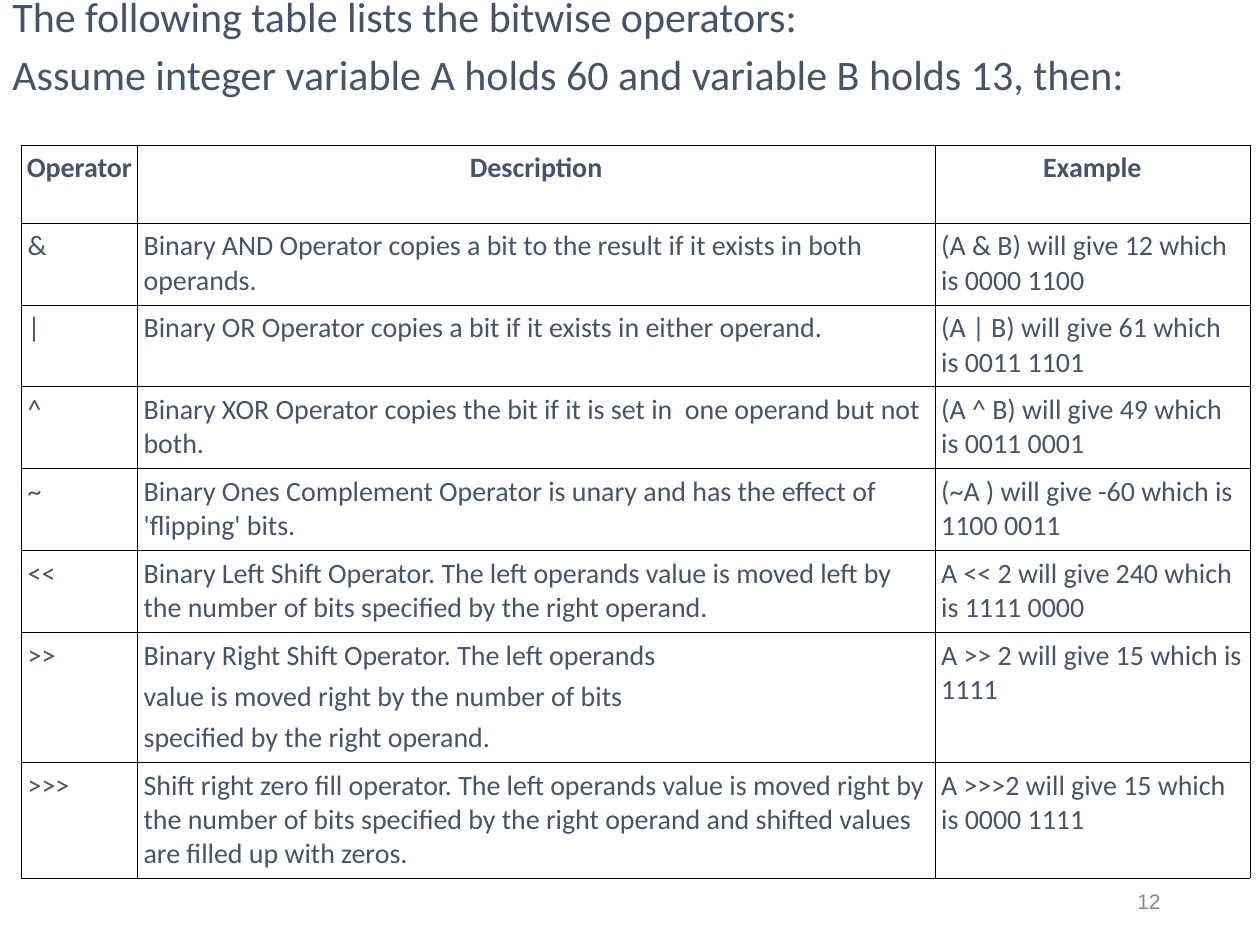
from dataclasses import dataclass

from lxml.etree import SubElement
from pptx import Presentation
from pptx.dml.color import RGBColor
from pptx.enum.text import MSO_ANCHOR as Anchor, PP_ALIGN as Align
from pptx.oxml.ns import qn
from pptx.util import Inches, Pt


@dataclass(frozen=True)
class Theme:
    text: str = "44546A"
    muted: str = "898989"
    border: str = "000000"
    body_font: str = "Calibri"
    number_font: str = "Arial"
    intro_size: float = 24
    table_size: float = 16
    number_size: float = 12
    border_width: float = 0.45


@dataclass(frozen=True)
class TextStyle:
    font: str
    size: float
    color: str
    bold: bool = False
    align: Align = Align.LEFT
    space_before: float = 0
    line_spacing: float = 1.0


@dataclass(frozen=True)
class Operator:
    symbol: str
    description: str
    example: str
    row_height: float = 0.65


THEME = Theme()
INTRO = TextStyle(THEME.body_font, THEME.intro_size, THEME.text,
                  space_before=7.5, line_spacing=0.9)
HEADER = TextStyle(THEME.body_font, THEME.table_size, THEME.text, bold=True, align=Align.CENTER)
BODY = TextStyle(THEME.body_font, THEME.table_size, THEME.text, space_before=4)
NUMBER = TextStyle(THEME.number_font, THEME.number_size, THEME.muted, align=Align.RIGHT)

INTRO_TEXT = ("The following table lists the bitwise operators:\n"
              "Assume integer variable A holds 60 and variable B holds 13, then:")
HEADINGS = Operator("Operator", "Description", "Example", 0.62)
OPERATORS = [
    Operator("&", "Binary AND Operator copies a bit to the result if it exists in both operands.",
             "(A & B) will give 12 which is 0000 1100"),
    Operator("|", "Binary OR Operator copies a bit if it exists in either operand.",
             "(A | B) will give 61 which is 0011 1101"),
    Operator("^", "Binary XOR Operator copies the bit if it is set in  one operand but not both.",
             "(A ^ B) will give 49 which is 0011 0001"),
    Operator("~", "Binary Ones Complement Operator is unary and has the effect of 'flipping' bits.",
             "(~A ) will give -60 which is 1100 0011"),
    Operator("<<", "Binary Left Shift Operator. The left operands value is moved left by "
             "the number of bits specified by the right operand.",
             "A << 2 will give 240 which is 1111 0000"),
    Operator(">>", "Binary Right Shift Operator. The left operands\n"
             "value is moved right by the number of bits\nspecified by the right operand.",
             "A >> 2 will give 15 which is 1111", 1.03),
    Operator(">>>", "Shift right zero fill operator. The left operands value is moved right by "
             "the number of bits specified by the right operand and shifted values "
             "are filled up with zeros.",
             "A >>>2 will give 15 which is 0000 1111", 0.92),
]
COLUMN_WIDTHS = (0.92, 6.33, 2.5)


def set_values(target, values: dict) -> None:
    for name, value in values.items():
        setattr(target, name, value)


def write_text(frame, text: str, style: TextStyle) -> None:
    """Write one styled paragraph per line of text."""
    frame.text = text
    for index, paragraph in enumerate(frame.paragraphs):
        set_values(paragraph, {
            "alignment": style.align,
            "line_spacing": style.line_spacing,
            "space_before": Pt(style.space_before if index else 0),
        })
        for run in paragraph.runs:
            set_values(run.font, {"name": style.font, "size": Pt(style.size), "bold": style.bold})
            run.font.color.rgb = RGBColor.from_string(style.color)


def add_text(slide, text: str, style: TextStyle, left: float, top: float,
             width: float, height: float, anchor: Anchor = Anchor.TOP) -> None:
    box = slide.shapes.add_textbox(Inches(left), Inches(top), Inches(width), Inches(height))
    set_values(box.text_frame, {"word_wrap": True, "vertical_anchor": anchor})
    write_text(box.text_frame, text, style)


def add_borders(cell) -> None:
    properties = cell._tc.get_or_add_tcPr()
    for index, side in enumerate(("lnL", "lnR", "lnT", "lnB")):
        line = SubElement(properties, qn(f"a:{side}"), w=str(Pt(THEME.border_width)))
        fill = SubElement(line, qn("a:solidFill"))
        SubElement(fill, qn("a:srgbClr"), val=THEME.border)
        properties.insert(index, line)


def fill_cell(cell, text: str, style: TextStyle, side_margin: float) -> None:
    set_values(cell, {
        "margin_left": Inches(side_margin), "margin_right": Inches(side_margin),
        "margin_top": Inches(0.05), "margin_bottom": Inches(0.05),
        "vertical_anchor": Anchor.TOP,
    })
    cell.fill.background()
    add_borders(cell)
    write_text(cell.text_frame, text, style)


def add_operator_table(slide, left: float, top: float) -> None:
    entries = [HEADINGS, *OPERATORS]
    height = sum(entry.row_height for entry in entries)
    table = slide.shapes.add_table(len(entries), len(COLUMN_WIDTHS), Inches(left), Inches(top),
                                   Inches(sum(COLUMN_WIDTHS)), Inches(height)).table
    set_values(table, {"first_row": False, "horz_banding": False})
    for column, width in zip(table.columns, COLUMN_WIDTHS):
        column.width = Inches(width)
    for row, entry in zip(table.rows, entries):
        row.height = Inches(entry.row_height)
        style, margin = (HEADER, 0.03) if entry is HEADINGS else (BODY, 0.05)
        for cell, text in zip(row.cells, (entry.symbol, entry.description, entry.example)):
            fill_cell(cell, text, style, margin)


def main() -> None:
    presentation = Presentation()
    set_values(presentation, {"slide_width": Inches(10), "slide_height": Inches(7.5)})
    slide = presentation.slides.add_slide(presentation.slide_layouts[6])
    add_text(slide, INTRO_TEXT, INTRO, 0, -0.08, 9.33, 5.45)
    add_text(slide, "12", NUMBER, 7.06, 6.95, 2.25, 0.4, Anchor.MIDDLE)
    add_operator_table(slide, 0.17, 1.15)
    presentation.save("out.pptx")


if __name__ == "__main__":
    main()
